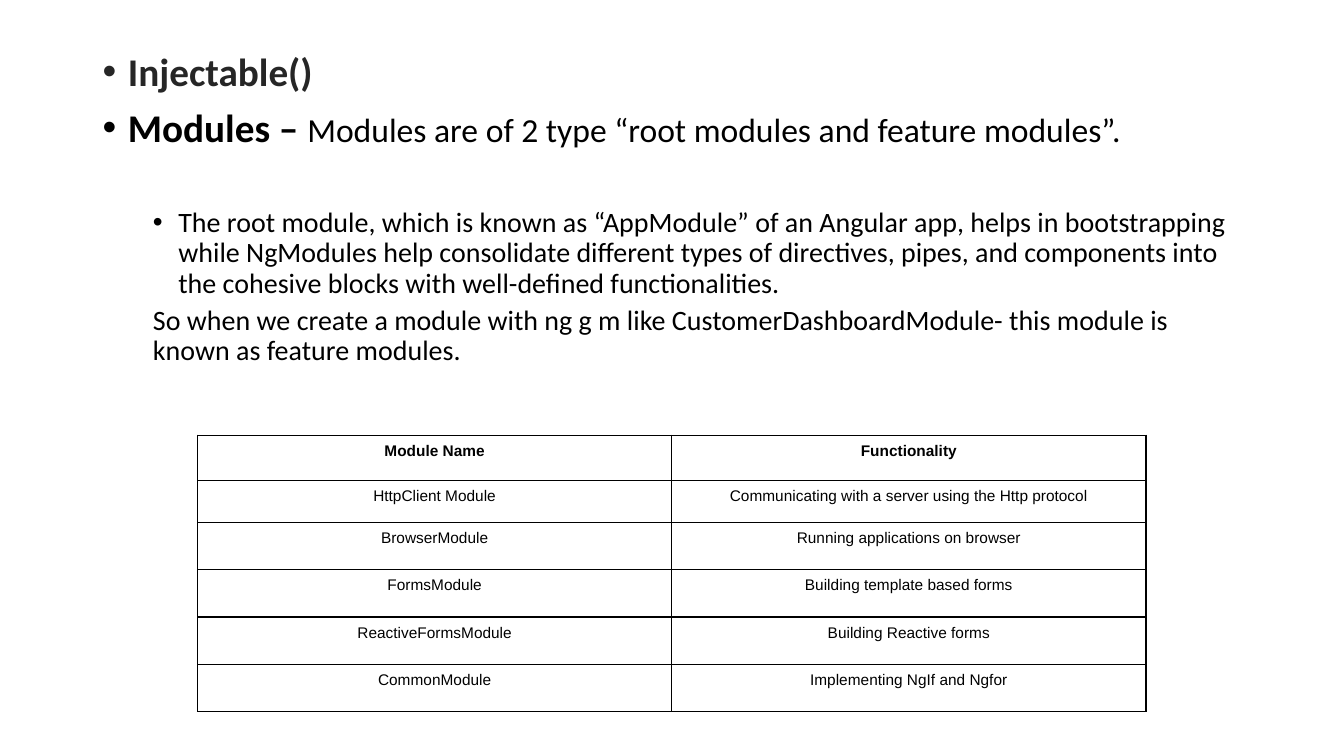
from lxml.etree import SubElement
from pptx import Presentation
from pptx.dml.color import RGBColor
from pptx.enum.text import MSO_ANCHOR, MSO_AUTO_SIZE, PP_ALIGN
from pptx.oxml import parse_xml
from pptx.oxml.ns import nsdecls, qn
from pptx.util import Cm, Pt

BLACK = RGBColor(0x00, 0x00, 0x00)
CHARCOAL = RGBColor(0x26, 0x26, 0x26)
WHITE = RGBColor(0xFF, 0xFF, 0xFF)

# Content: (level, bulleted, indent cm, space before pt, runs of (text, size, bold, colour))
HANG = 0.64
NOTES = [
    (0, True, 0.64, 10, [("Injectable()", 28, True, CHARCOAL)]),
    (0, True, 0.64, 10, [
        ("Modules – ", 28, True, BLACK),
        ("Modules are of 2 type “root modules and feature modules”.", 24, False, BLACK)]),
    (1, True, 1.91, 41, [
        ("The root module, which is known as “AppModule” of an Angular app, helps in "
         "bootstrapping while NgModules help consolidate different types of directives, "
         "pipes, and components into the cohesive blocks with well-defined "
         "functionalities.", 20, False, BLACK)]),
    (1, False, 1.27, 5, [
        ("So when we create a module with ng g m like CustomerDashboardModule- this "
         "module is known as feature modules.", 20, False, BLACK)]),
]
MODULES = [
    ("Module Name", "Functionality"),
    ("HttpClient Module", "Communicating with a server using the Http protocol"),
    ("BrowserModule", "Running applications on browser"),
    ("FormsModule", "Building template based forms"),
    ("ReactiveFormsModule", "Building Reactive forms"),
    ("CommonModule", "Implementing NgIf and Ngfor"),
]
COLUMN_WIDTH = 11.95
ROW_HEIGHTS = [1.14, 1.06] + [1.19] * 4
CELL_INSET = Cm(0.18)


def add_run(paragraph, text, font, size, bold, colour):
    run = paragraph.add_run()
    run.text = text
    run.font.name = font
    run.font.size = Pt(size)
    run.font.bold = bold
    run.font.color.rgb = colour


def set_bullet(paragraph, bulleted, indent):
    properties = paragraph._p.get_or_add_pPr()
    properties.set("marL", str(Cm(indent)))
    properties.set("indent", str(-Cm(HANG) if bulleted else 0))
    if bulleted:
        SubElement(properties, qn("a:buFont")).set("typeface", "Arial")
        SubElement(properties, qn("a:buChar")).set("char", "•")
    else:
        SubElement(properties, qn("a:buNone"))


def set_borders(cell):
    properties = cell._tc.get_or_add_tcPr()
    for position, side in enumerate(("lnL", "lnR", "lnT", "lnB")):
        properties.insert(position, parse_xml(
            f'<a:{side} {nsdecls("a")} w="{Pt(1)}"><a:solidFill>'
            f'<a:srgbClr val="{BLACK}"/></a:solidFill></a:{side}>'))


presentation = Presentation()
presentation.slide_width = Cm(33.87)
presentation.slide_height = Cm(19.05)
slide = presentation.slides.add_slide(presentation.slide_layouts[1])
title, body = slide.placeholders
title.element.getparent().remove(title.element)

# Notes on modules
body.left, body.top, body.width, body.height = Cm(2.33), Cm(1.19), Cm(29.21), Cm(17.27)
notes = body.text_frame
notes.word_wrap = True
notes.auto_size = MSO_AUTO_SIZE.NONE
notes.vertical_anchor = MSO_ANCHOR.TOP
for number, (level, bulleted, indent, space, runs) in enumerate(NOTES):
    note = notes.add_paragraph() if number else notes.paragraphs[0]
    note.level = level
    note.line_spacing = 0.9
    note.space_before = Pt(space)
    set_bullet(note, bulleted, indent)
    for text, size, bold, colour in runs:
        add_run(note, text, "Calibri", size, bold, colour)

# Table of modules
modules = slide.shapes.add_table(
    len(MODULES), 2, Cm(4.98), Cm(10.97),
    Cm(2 * COLUMN_WIDTH), Cm(sum(ROW_HEIGHTS))).table
for column in modules.columns:
    column.width = Cm(COLUMN_WIDTH)
for row, (height, entries) in enumerate(zip(ROW_HEIGHTS, MODULES)):
    modules.rows[row].height = Cm(height)
    for column, entry in enumerate(entries):
        cell = modules.cell(row, column)
        cell.margin_left = cell.margin_right = CELL_INSET
        cell.margin_top = cell.margin_bottom = CELL_INSET
        cell.fill.solid()
        cell.fill.fore_color.rgb = WHITE
        set_borders(cell)
        line = cell.text_frame.paragraphs[0]
        line.alignment = PP_ALIGN.CENTER
        add_run(line, entry, "Arial", 11, row == 0, BLACK)

presentation.save("out.pptx")
